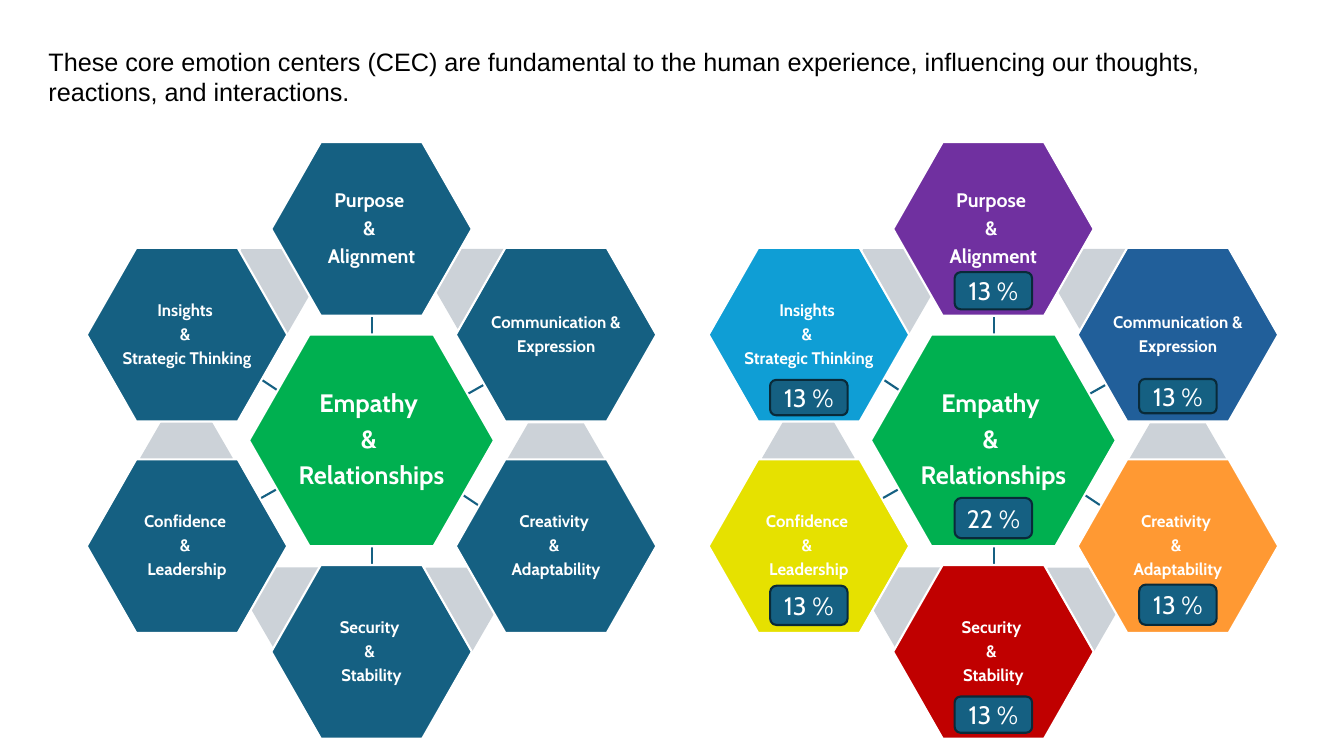
from pptx import Presentation
from pptx.dml.color import RGBColor
from pptx.enum.shapes import MSO_CONNECTOR, MSO_SHAPE
from pptx.enum.text import MSO_ANCHOR, MSO_AUTO_SIZE, PP_ALIGN
from pptx.oxml.ns import qn
from pptx.util import Pt
from lxml import etree

CENTER = PP_ALIGN.CENTER
LEFT = PP_ALIGN.LEFT
MIDDLE = MSO_ANCHOR.MIDDLE
TOP = MSO_ANCHOR.TOP
NO_AUTOFIT = MSO_AUTO_SIZE.NONE
HEXAGON = MSO_SHAPE.HEXAGON
BADGE = MSO_SHAPE.ROUNDED_RECTANGLE
STRAIGHT = MSO_CONNECTOR.STRAIGHT

TEAL = "156082"
WHITE = "FFFFFF"
STEP_X, STEP_Y = 131.8, 75.5
HUB_SIZE = (175, 151.2)
PETAL_SIZE = (143.3, 124)
CORNER = 0.247
FLOWER_Y = 314.6
PLAIN_X, SCORED_X = 265.4, 709.6

GAPS = [
    (131.7, 16.2, 72.7, 56.9), (53.6, 123.9, 67.7, 66.2),
    (-78.2, -103.6, 67.7, 66.2), (78, -108.3, 66.2, 56.9),
    (-53.7, 119.2, 66.2, 56.9), (-132.2, 12.6, 66.2, 56.9),
]
SPOKES = [
    (0.2, -108.7, 0.2, -61.2), (0.2, 59.8, 0.2, 107.3),
    (-60.9, 31, -112, 59.8), (106.8, -54.7, 55.7, -25.9),
    (-95.5, -54.7, -52.3, -25.9), (60.8, 36, 104, 64.8),
]
CENTERS = [
    # columns: label, column, row, text size, colour, score, badge drop, badge height
][:0] + [
    (["Empathy ", "& ", "Relationships"], 0, 0, 18, "00B050", "22 %", 55.5, 28.8),
    (["Purpose ", "& ", "Alignment"], 0, -2, 14, "7030A0", "13 %", 44.1, 26.6),
    (["Communication &", "Expression"], 1, -1, 12, "215F9A", "13 %", 43.9, 24.5),
    (["Creativity ", "& ", "Adaptability"], 1, 1, 12, "FF9933", "13 %", 41.9, 28.8),
    (["Security ", "& ", "Stability"], 0, 2, 12, "C00000", "13 %", 44.9, 25.9),
    (["Confidence ", "& ", "Leadership"], -1, 1, 12, "E6E100", "13 %", 42.3, 28.1),
    (["Insights ", "& ", "Strategic Thinking"], -1, -1, 12, "0F9ED5", "13 %", 44.9, 25.2),
]


def rgb(value):
    return RGBColor.from_string(value)


class EmotionSlide:
    font = "Cabin"
    line_width = 1.5

    def __init__(self, presentation):
        self.slide = presentation.slides.add_slide(presentation.slide_layouts[5])
        self.canvas = self.slide.shapes

    def start_group(self):
        self.canvas = self.slide.shapes.add_group_shape().shapes

    def paint(self, shape, fill, line=None):
        shape.shadow.inherit = False
        shape.fill.solid()
        shape.fill.fore_color.rgb = rgb(fill)
        if line:
            shape.line.color.rgb = rgb(line)
            shape.line.width = Pt(self.line_width)
        else:
            shape.line.fill.background()

    def style(self, paragraph, size, color=WHITE, font=font, bold=False, align=CENTER):
        paragraph.alignment = align
        paragraph.font.name = font
        paragraph.font.size = Pt(size)
        paragraph.font.bold = bold
        paragraph.font.color.rgb = rgb(color)

    def title(self, text, left, top, width, height):
        title = self.slide.shapes.title
        title.left, title.top = Pt(left), Pt(top)
        title.width, title.height = Pt(width), Pt(height)
        frame = title.text_frame
        frame.text = text
        frame.word_wrap = True
        frame.auto_size = NO_AUTOFIT
        frame.vertical_anchor = TOP
        self.style(frame.paragraphs[0], 18, "000000", "Arial", align=LEFT)

    def preset(self, kind, x, y, width, height, fill, line=None):
        shape = self.canvas.add_shape(
            kind, Pt(x - width / 2), Pt(y - height / 2), Pt(width), Pt(height))
        self.paint(shape, fill, line)
        return shape

    def gap(self, x, y, width, height):
        self.preset(HEXAGON, x, y, width, height, "CCD2D8").adjustments[0] = 0.289

    def spoke(self, x1, y1, x2, y2):
        spoke = self.canvas.add_connector(STRAIGHT, Pt(x1), Pt(y1), Pt(x2), Pt(y2))
        spoke.line.color.rgb = rgb(TEAL)
        spoke.line.width = Pt(self.line_width)
        etree.SubElement(spoke._element.spPr, qn("a:effectLst"))

    def node(self, label, x, y, width, height, size, fill):
        half, shoulder, rise = width / 2, width * (0.5 - CORNER), height / 2
        outline = [(-half, 0), (-shoulder, -rise), (shoulder, -rise),
                   (half, 0), (shoulder, rise), (-shoulder, rise)]
        points = [(Pt(x + dx), Pt(y + dy)) for dx, dy in outline]
        builder = self.canvas.build_freeform(*points[0])
        builder.add_line_segments(points[1:], close=True)
        node = builder.convert_to_shape()
        self.paint(node, fill, WHITE)
        frame = node.text_frame
        frame.word_wrap = True
        frame.vertical_anchor = MIDDLE
        frame.margin_left = frame.margin_right = Pt(width * 0.17)
        frame.margin_top = frame.margin_bottom = Pt(height * 0.17)
        for index, words in enumerate(label):
            paragraph = frame.add_paragraph() if index else frame.paragraphs[0]
            paragraph.text = words
            paragraph.line_spacing = 0.9
            paragraph.space_after = Pt(size * 0.35)
            self.style(paragraph, size, bold=True)

    def badge(self, score, x, y, height):
        badge = self.preset(BADGE, x, y, 55.4, height, TEAL, "092A39")
        badge.text_frame.text = score
        badge.text_frame.vertical_anchor = MIDDLE
        self.style(badge.text_frame.paragraphs[0], 18)

    def flower(self, x, scored):
        self.start_group()
        for dx, dy, width, height in GAPS:
            self.gap(x + dx, FLOWER_Y + dy, width, height)
        for x1, y1, x2, y2 in SPOKES:
            self.spoke(x + x1, FLOWER_Y + y1, x + x2, FLOWER_Y + y2)
        for label, column, row, size, color, score, drop, badge_height in CENTERS:
            is_hub = (column, row) == (0, 0)
            node_x, node_y = x + column * STEP_X, FLOWER_Y + row * STEP_Y
            width, height = HUB_SIZE if is_hub else PETAL_SIZE
            fill = color if scored or is_hub else TEAL
            self.node(label, node_x, node_y, width, height, size, fill)
            if scored:
                self.badge(score, node_x, node_y + drop, badge_height)


def main():
    presentation = Presentation()
    presentation.slide_width, presentation.slide_height = Pt(960), Pt(540)
    emotions = EmotionSlide(presentation)
    emotions.title(
        "These core emotion centers (CEC) are fundamental to the human experience, "
        "influencing our thoughts, reactions, and interactions.",
        27.4, 29.5, 868.3, 51)
    emotions.flower(PLAIN_X, scored=False)
    emotions.flower(SCORED_X, scored=True)
    presentation.save("out.pptx")


if __name__ == "__main__":
    main()
